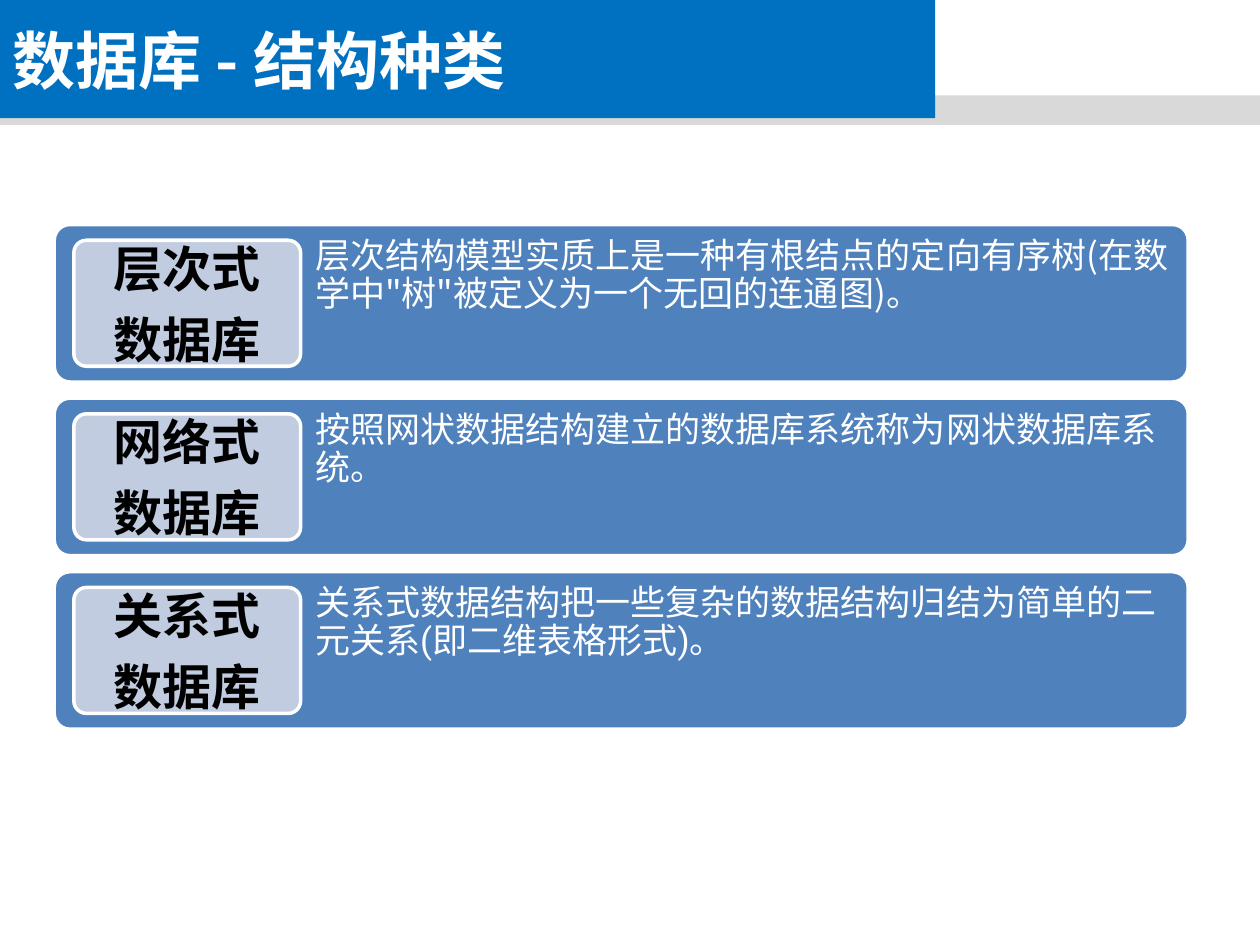
from lxml.etree import SubElement
from pptx import Presentation
from pptx.dml.color import RGBColor
from pptx.enum.shapes import MSO_SHAPE as Kind
from pptx.enum.text import MSO_ANCHOR as Anchor, MSO_AUTO_SIZE as Auto, PP_ALIGN as Align
from pptx.oxml.ns import qn
from pptx.util import Pt

SANS, ROBOTO = "Noto Sans CJK SC", "Roboto"
WHITE, BLACK, GREY = "FFFFFF", "000000", "D9D9D9"
BLUE, PANEL, LABEL = "0070C0", "4F81BD", "C1CCE1"

ROWS = [
    ("层次式", SANS, '层次结构模型实质上是一种有根结点的定向有序树(在数学中"树"被定义为一个无回的连通图)。'),
    ("网络式", SANS, "按照网状数据结构建立的数据库系统称为网状数据库系统。"),
    ("关系式", ROBOTO, "关系式数据结构把一些复杂的数据结构归结为简单的二元关系(即二维表格形式)。"),
]


def color(code):
    return RGBColor.from_string(code)


def paint(shape, code):
    shape.fill.solid()
    shape.fill.fore_color.rgb = color(code)


class Deck:
    def __init__(self, slide):
        self.slide = slide
        self.shapes = slide.shapes

    def style(self, frame, size, font, code, bold=False, align=Align.LEFT):
        for para in frame.paragraphs:
            para.alignment = align
            for run in para.runs:
                run.font.size, run.font.bold = Pt(size), bold
                run.font.name = font
                run.font.color.rgb = color(code)
                east = SubElement(run.font._element, qn("a:ea"))
                east.set("typeface", font)

    def inset(self, frame, side, top):
        frame.margin_left = frame.margin_right = Pt(side)
        frame.margin_top = frame.margin_bottom = Pt(top)

    def title(self, text, box):
        head = self.shapes.title
        head.left, head.top, head.width, head.height = map(Pt, box)
        paint(head, BLUE)
        frame = head.text_frame
        frame.text = text
        frame.auto_size = Auto.NONE
        frame.vertical_anchor = Anchor.MIDDLE
        self.style(frame, 36, SANS, WHITE, bold=True)

    def strip(self, box):
        """Draw the grey strip behind the title."""
        bar = self.shapes.add_shape(Kind.RECTANGLE, *map(Pt, box))
        bar.shadow.inherit = False
        paint(bar, GREY)
        bar.line.fill.background()
        self.shapes.title._element.addprevious(bar._element)

    def panel(self, box, code):
        card = self.shapes.add_shape(Kind.ROUNDED_RECTANGLE, *map(Pt, box))
        card.adjustments[0] = 0.1
        card.shadow.inherit = False
        paint(card, code)
        card.line.color.rgb = color(WHITE)
        card.line.width = Pt(2)
        return card

    def label(self, text, box):
        frame = self.panel(box, LABEL).text_frame
        frame.text = text
        frame.word_wrap = False
        frame.vertical_anchor = Anchor.MIDDLE
        self.inset(frame, 7.2, 3.6)
        for para in frame.paragraphs:
            para.space_before = Pt(7)
        self.style(frame, 28, ROBOTO, BLACK, bold=True, align=Align.CENTER)

    def note(self, text, font, box):
        frame = self.shapes.add_textbox(*map(Pt, box)).text_frame
        frame.text = text
        frame.word_wrap = True
        self.inset(frame, 8, 8)
        para = frame.paragraphs[0]
        para.line_spacing, para.space_after = 0.9, Pt(8.8)
        self.style(frame, 20, font, WHITE)


def main():
    prs = Presentation()
    prs.slide_width, prs.slide_height = Pt(720), Pt(540)
    deck = Deck(prs.slides.add_slide(prs.slide_layouts[5]))
    deck.strip((0, 54.5, 720, 17))
    deck.title("数据库 - 结构种类", (0, 0, 534.4, 67.5))

    left, first, wide, high, step = 31, 128.3, 648, 90, 99.2
    for i, (name, font, text) in enumerate(ROWS):
        top = first + i * step
        deck.panel((left, top, wide, high), PANEL)
        deck.note(text, font, (172, top, 507.5, high))
        deck.label(name + "\n数据库", (42.2, top + 9, 129.6, 72))
    prs.save("out.pptx")


if __name__ == "__main__":
    main()
